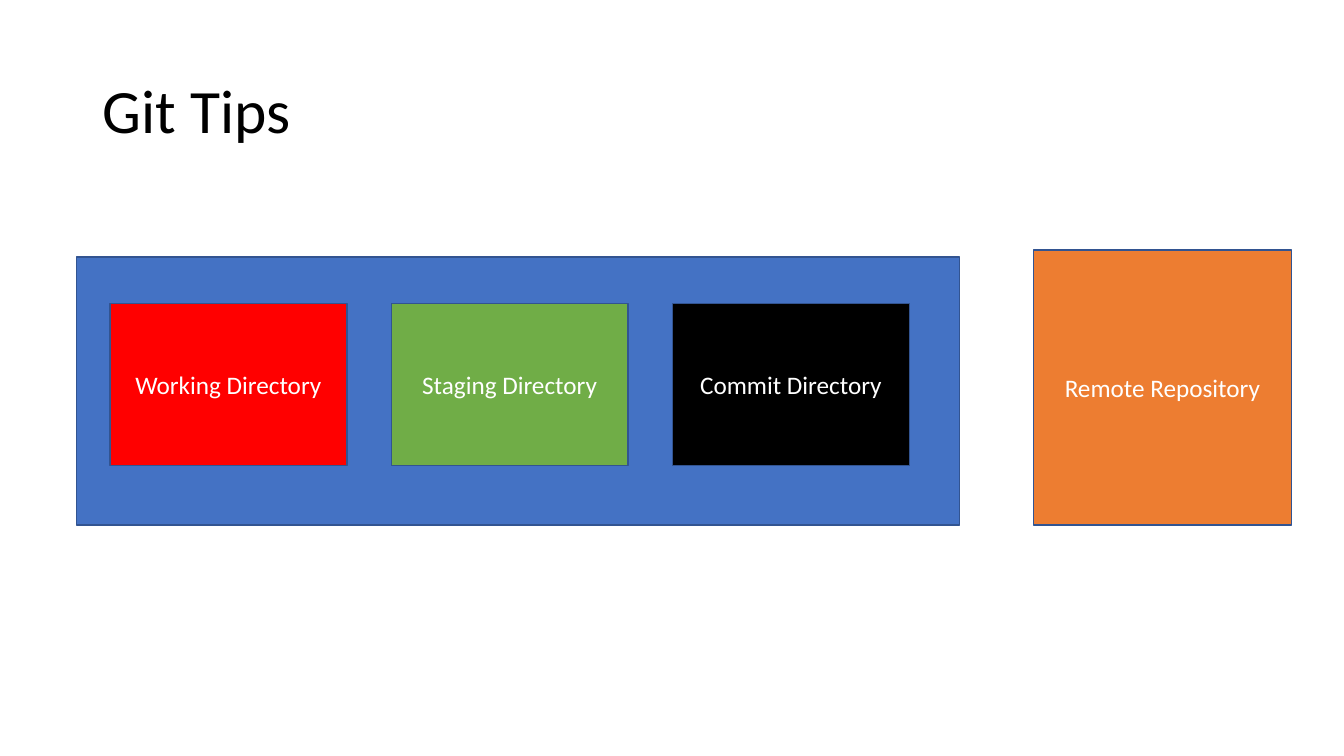
from dataclasses import dataclass

from pptx import Presentation
from pptx.dml.color import RGBColor
from pptx.enum.shapes import MSO_SHAPE
from pptx.enum.text import MSO_ANCHOR, PP_ALIGN
from pptx.util import Inches, Pt

TITLE = "Git Tips"
LOCAL_DIRECTORIES = [
    ("Working Directory", "FF0000"),
    ("Staging Directory", "70AD47"),
    ("Commit Directory", "000000"),
]
REMOTE = "Remote Repository"

TITLE_AREA = (0.92, 0.4, 11.5, 1.45)
LOCAL_AREA = (0.76, 2.55, 8.76, 2.66)
REMOTE_AREA = (10.25, 2.48, 2.56, 2.73)
FIRST_DIRECTORY = (1.09, 3.01, 2.35, 1.61)
DIRECTORY_PITCH = 2.79


@dataclass(frozen=True)
class Theme:
    font: str = "Calibri"
    title_size: int = 44
    label_size: int = 18
    line_width: int = 1
    title: str = "000000"
    label: str = "FFFFFF"
    local: str = "4472C4"
    remote: str = "ED7D31"
    outline: str = "325491"


THEME = Theme()


def write(frame, text, size, color, align):
    frame.text = text
    frame.word_wrap = True
    frame.vertical_anchor = MSO_ANCHOR.MIDDLE
    paragraph = frame.paragraphs[0]
    paragraph.alignment = align
    font = paragraph.runs[0].font
    font.name = THEME.font
    font.size = Pt(size)
    font.color.rgb = RGBColor.from_string(color)


def add_box(slide, area, fill, label=None):
    box = slide.shapes.add_shape(MSO_SHAPE.RECTANGLE, *map(Inches, area))
    box.shadow.inherit = False
    box.fill.solid()
    box.fill.fore_color.rgb = RGBColor.from_string(fill)
    box.line.color.rgb = RGBColor.from_string(THEME.outline)
    box.line.width = Pt(THEME.line_width)
    if label:
        write(box.text_frame, label, THEME.label_size, THEME.label, PP_ALIGN.CENTER)


def main():
    deck = Presentation()
    deck.slide_width, deck.slide_height = Inches(13.33), Inches(7.5)
    slide = deck.slides.add_slide(deck.slide_layouts[6])

    add_box(slide, LOCAL_AREA, THEME.local)

    heading = slide.shapes.add_textbox(*map(Inches, TITLE_AREA)).text_frame
    write(heading, TITLE, THEME.title_size, THEME.title, PP_ALIGN.LEFT)
    heading.paragraphs[0].line_spacing = 0.9

    left, top, width, height = FIRST_DIRECTORY
    for index, (directory, fill) in enumerate(LOCAL_DIRECTORIES):
        area = (left + index * DIRECTORY_PITCH, top, width, height)
        add_box(slide, area, fill, directory)

    add_box(slide, REMOTE_AREA, THEME.remote, REMOTE)
    deck.save("out.pptx")


if __name__ == "__main__":
    main()
